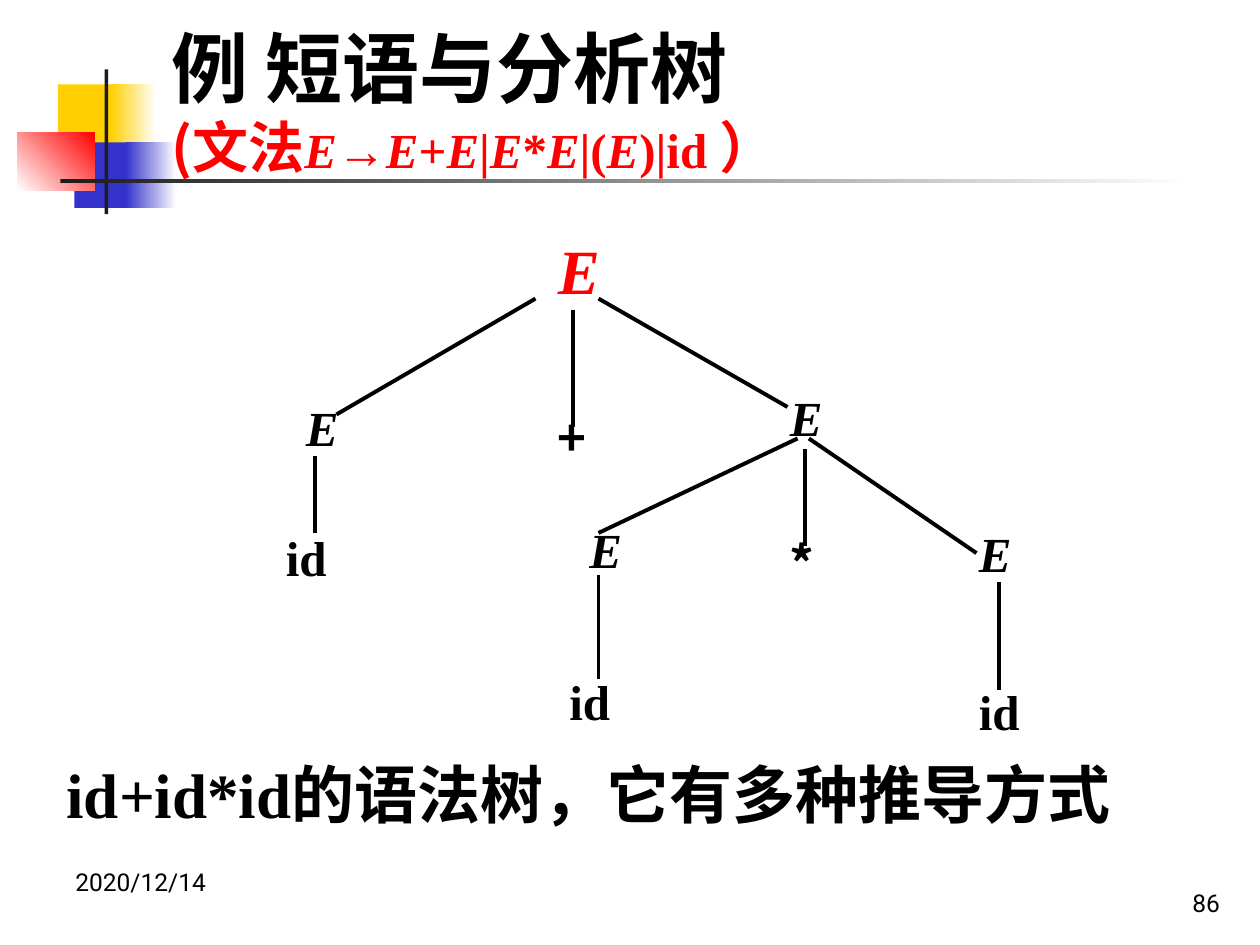
from lxml import etree
from pptx import Presentation
from pptx.dml.color import RGBColor
from pptx.enum.shapes import MSO_CONNECTOR, MSO_SHAPE
from pptx.enum.text import MSO_ANCHOR, PP_ALIGN
from pptx.oxml.ns import qn
from pptx.util import Inches, Pt

RECTANGLE = MSO_SHAPE.RECTANGLE
STRAIGHT = MSO_CONNECTOR.STRAIGHT
TOP, MIDDLE, BOTTOM = MSO_ANCHOR.TOP, MSO_ANCHOR.MIDDLE, MSO_ANCHOR.BOTTOM
LEFT, RIGHT = PP_ALIGN.LEFT, PP_ALIGN.RIGHT

COLORS = {
    "yellow": "FFCF01", "blue": "3333CC", "red": "FF0000",
    "dark": "1C1C1C", "black": "000000", "white": "FFFFFF",
}
SERIF, CJK, SANS = "Times New Roman", "Noto Sans CJK SC", "Roboto"

deck = Presentation()
deck.slide_width, deck.slide_height = Inches(10), Inches(7.5)
page = deck.slides.add_slide(deck.slide_layouts[6])


def add_span(para, text, size=28, font=SERIF, color="black", bold=True, italic=False):
    span = para.add_run()
    span.text = text
    span.font.size = Pt(size)
    span.font.name = font
    span.font.bold = bold
    span.font.italic = italic
    span.font.color.rgb = RGBColor.from_string(COLORS[color])
    east_asian = etree.SubElement(span.font._element, qn("a:ea"))
    east_asian.set("typeface", CJK)


def add_text(left, top, width, height, text="", anchor=TOP, align=LEFT, spacing=1.0, **style):
    """Add a text box and return its first paragraph."""
    box = page.shapes.add_textbox(Inches(left), Inches(top), Inches(width), Inches(height))
    box.text_frame.word_wrap = True
    box.text_frame.vertical_anchor = anchor
    para = box.text_frame.paragraphs[0]
    para.alignment = align
    para.line_spacing = spacing
    if text:
        add_span(para, text, **style)
    return para


# Corner ornament and title rule: left, top, width, height, from, to, angle
ornament = [
    (0.46, 0.67, 0.48, 0.52, "yellow", None, 0),
    (0.88, 0.67, 0.36, 0.52, "yellow", "white", 0),
    (0.59, 1.13, 0.46, 0.52, "blue", None, 0),
    (1, 1.13, 0.4, 0.52, "blue", "white", 0),
    (0.14, 1.05, 0.61, 0.46, "white", "red", 45),
    (0.83, 0.55, 0.03, 1.15, "dark", None, 0),
    (0.48, 1.42, 9, 0.03, "dark", "white", 0),
]
for left, top, width, height, start, end, angle in ornament:
    block = page.shapes.add_shape(
        RECTANGLE, Inches(left), Inches(top), Inches(width), Inches(height))
    block.shadow.inherit = False
    block.line.fill.background()
    if end:
        block.fill.gradient()
        block.fill.gradient_angle = angle
        for stop, color in zip(block.fill.gradient_stops, (start, end)):
            stop.color.rgb = RGBColor.from_string(COLORS[color])
    else:
        block.fill.solid()
        block.fill.fore_color.rgb = RGBColor.from_string(COLORS[start])

# Title with the grammar below it; nonterminals are italic
title = add_text(1.26, 0.13, 6.5, 1.33, "例 短语与分析树", anchor=MIDDLE, size=44)
title.add_line_break()
add_span(title, "(文法", size=32, font=CJK, color="red")
for symbol in ("E", "→", "E", "+", "E", "|", "E", "*", "E", "|(", "E", ")|id"):
    add_span(title, symbol, color="red", italic=symbol == "E")
add_span(title, " ）", size=32, font=CJK, color="red")

# Parse tree
branches = [
    (2.67, 3.29, 4.25, 2.37), (6.25, 3.23, 4.75, 2.37), (4.55, 3.39, 4.55, 2.46),
    (2.5, 4.23, 2.5, 3.62), (4.75, 4.23, 6.33, 3.48), (6.39, 3.56, 6.39, 4.33),
    (6.42, 3.48, 7.75, 4.39), (4.75, 4.56, 4.75, 5.39), (7.93, 4.62, 7.93, 5.48),
]
for ends in branches:
    branch = page.shapes.add_connector(STRAIGHT, *(Inches(value) for value in ends))
    branch.line.color.rgb = RGBColor.from_string(COLORS["black"])
    branch.line.width = Pt(2.25)
    etree.SubElement(branch._element.spPr, qn("a:effectLst"))

add_text(4.33, 1.73, 1.25, 0.76, "E", spacing=1.1, size=36, color="red", italic=True)
nodes = [
    (2.33, 3.06, "E"), (4.33, 3.14, "+"), (6.17, 2.98, "E"),
    (2.17, 4.09, "id"), (4.58, 4.03, "E"), (6.17, 4.14, "*"), (7.67, 4.06, "E"),
    (4.42, 5.23, "id"), (7.67, 5.31, "id"),
]
for left, top, symbol in nodes:
    add_text(left, top, 1.25, 0.61, symbol, spacing=1.1,
             font=CJK if symbol in "+*" else SERIF, italic=symbol == "E")

# Conclusion and footer
add_text(0.43, 5.89, 8.96, 0.77, "id+id*id的语法树，它有多种推导方式", spacing=1.1, size=36)
add_text(0.5, 6.83, 2.33, 0.52, "2020/12/14", size=14, font=SANS, bold=False)
add_text(7.7, 6.83, 2.08, 0.5, "86", anchor=BOTTOM, align=RIGHT,
         size=14, font=SANS, bold=False)

deck.save("out.pptx")
